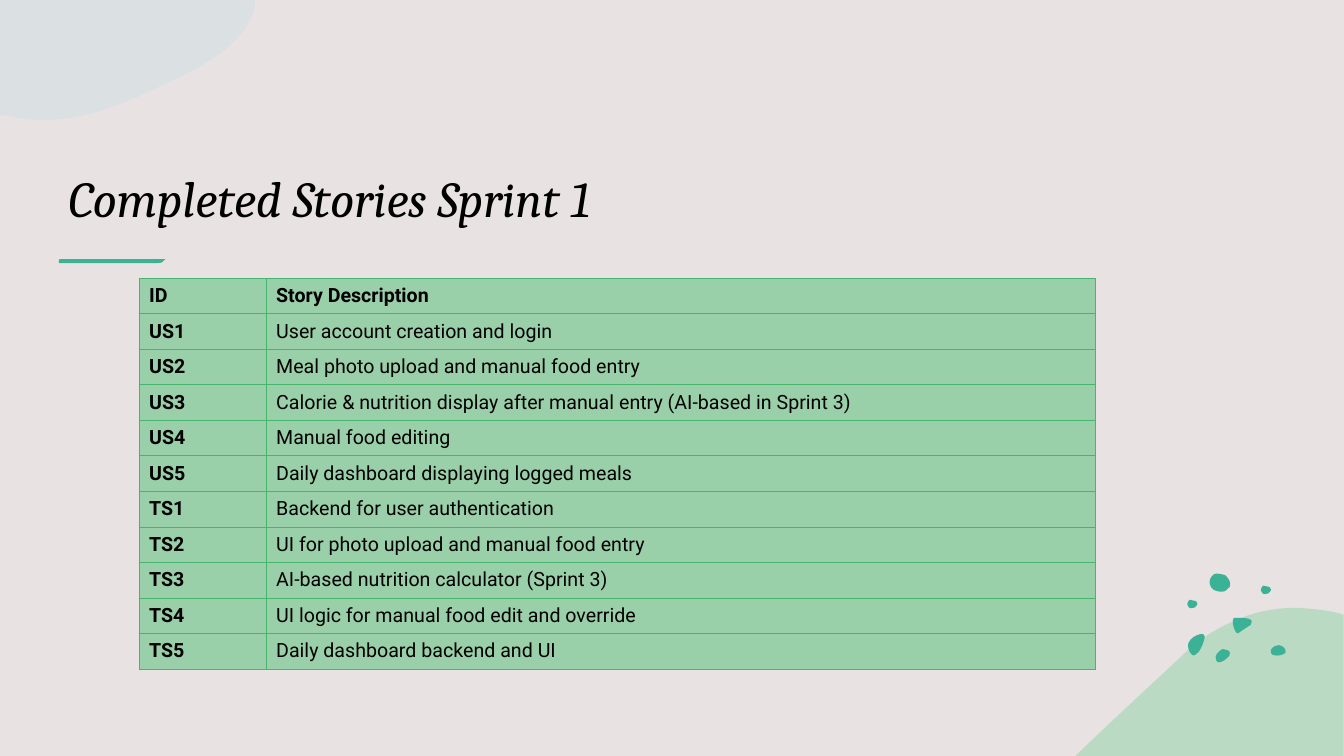
from dataclasses import dataclass

from lxml.etree import SubElement
from pptx import Presentation
from pptx.dml.color import RGBColor
from pptx.enum.shapes import MSO_SHAPE
from pptx.enum.text import MSO_ANCHOR
from pptx.oxml.ns import qn
from pptx.util import Inches, Pt


@dataclass(frozen=True)
class Theme:
    background: str = "E8E2E3"
    mist: str = "B7DEE6"
    hill: str = "90D3A7"
    accent: str = "3BB195"
    cell: str = "9AD0A9"
    border: str = "47B56D"
    text: str = "000000"
    title_font: str = "Cambria"
    body_font: str = "Roboto"
    title_size: int = 36
    body_size: int = 14
    border_width: float = 0.5


THEME = Theme()

MIST = [(0, 0), (2.53, 0), (2.53, 0.06), (2.45, 0.44, 2, 0.67, 1.58, 0.86),
        (1.23, 1.03, 0.86, 1.19, 0.41, 1.19), (0.31, 1.19, 0.22, 1.18, 0.13, 1.16), (0, 1.14)]
HILL = [(2.21, 0), (2.34, 0.01, 2.47, 0.02, 2.6, 0.05), (2.66, 0.07), (2.66, 1.47), (0, 1.47),
        (0.01, 1.46), (0.35, 1.13, 0.7, 0.81, 1.02, 0.51), (1.24, 0.29, 1.47, 0.16, 1.7, 0.08),
        (1.87, 0.02, 2.04, 0, 2.21, 0)]
STROKE = [(0.01, 0), (0.53, 0), (1.06, 0), (1.03, 0.01, 1.05, 0.04, 0.99, 0.04),
          (0.32, 0.04), (0.03, 0.04), (-0.01, 0.05, 0, 0.01, 0.01, 0)]
OVAL = [(0.07, 0), (0.09, 0, 0.1, 0, 0.12, 0.01), (0.14, 0.02, 0.15, 0.04, 0.14, 0.06),
        (0.12, 0.09, 0.06, 0.14, 0.02, 0.13), (0.01, 0.12, 0, 0.1, 0, 0.08),
        (0, 0.06, 0.02, 0.03, 0.04, 0.02), (0.05, 0.01, 0.06, 0, 0.07, 0)]
LEAF = [(0.12, 0), (0.14, 0, 0.16, 0, 0.16, 0.02), (0.16, 0.03, 0.16, 0.03, 0.16, 0.04),
        (0.15, 0.09, 0.13, 0.14, 0.1, 0.18), (0.08, 0.2, 0.05, 0.23, 0.03, 0.2),
        (0, 0.17, -0.01, 0.12, 0, 0.09), (0.01, 0.06, 0.03, 0.05, 0.05, 0.03),
        (0.06, 0.03, 0.09, 0, 0.12, 0)]
BEAN = [(0.08, 0), (0.1, 0, 0.13, 0.02, 0.14, 0.04), (0.15, 0.06, 0.15, 0.08, 0.12, 0.09),
        (0.09, 0.11, 0.01, 0.11, 0, 0.08), (-0.01, 0.06, 0, 0.04, 0.01, 0.03),
        (0.03, 0.01, 0.05, 0, 0.08, 0)]
STONE = [(0.01, 0.12), (0, 0.12, -0.01, 0.06, 0.02, 0.03), (0.04, 0.01, 0.04, 0, 0.07, 0),
         (0.1, 0, 0.14, 0.01, 0.16, 0.02), (0.18, 0.04, 0.22, 0.09, 0.2, 0.13),
         (0.17, 0.16, 0.16, 0.18, 0.12, 0.18), (0.09, 0.18, 0.04, 0.17, 0.03, 0.15),
         (0.01, 0.14, 0.01, 0.13, 0.01, 0.12)]
BEAD = [(0, 0.05), (0, 0.05, 0, 0.01, 0.02, 0), (0.04, 0, 0.05, 0, 0.07, 0.01),
        (0.08, 0.01, 0.1, 0.02, 0.1, 0.04), (0.1, 0.05, 0.09, 0.06, 0.08, 0.07),
        (0.08, 0.07, 0.08, 0.08, 0.06, 0.08), (0.05, 0.08, 0.03, 0.09, 0.02, 0.08),
        (0.01, 0.06, 0, 0.06, 0, 0.05)]
WEDGE = [(0.05, 0), (0.11, 0, 0.22, 0, 0.18, 0.06), (0.18, 0.07, 0.17, 0.08, 0.16, 0.08),
         (0.13, 0.1, 0.1, 0.12, 0.07, 0.14), (0.06, 0.15, 0.05, 0.16, 0.04, 0.15),
         (0.03, 0.14), (0.01, 0.1, 0, 0.07, 0, 0.03), (0, 0.02, 0, 0.01, 0.01, 0)]
PEBBLES = [(OVAL, 0.28, 0.75), (LEAF, 0.01, 0.6), (BEAN, 0.83, 0.71), (STONE, 0.22, 0),
           (BEAD, 0.73, 0.12), (BEAD, 0, 0.26), (WEDGE, 0.45, 0.44)]

STORIES = [
    ("ID", "Story Description"),
    ("US1", "User account creation and login"),
    ("US2", "Meal photo upload and manual food entry"),
    ("US3", "Calorie & nutrition display after manual entry (AI-based in Sprint 3)"),
    ("US4", "Manual food editing"),
    ("US5", "Daily dashboard displaying logged meals"),
    ("TS1", "Backend for user authentication"),
    ("TS2", "UI for photo upload and manual food entry"),
    ("TS3", "AI-based nutrition calculator (Sprint 3)"),
    ("TS4", "UI logic for manual food edit and override"),
    ("TS5", "Daily dashboard backend and UI"),
]


def rgb(color):
    return RGBColor.from_string(color)


def paint(sp, color):
    sp.shadow.inherit = False
    sp.fill.solid()
    sp.fill.fore_color.rgb = rgb(color)
    sp.line.fill.background()


def bend_segments(sp, outline):
    min_x = min(segment[-2] for segment in outline)
    min_y = min(segment[-1] for segment in outline)
    lines = list(sp._element.iter(qn("a:lnTo")))
    for line, segment in zip(lines, outline[1:]):
        if len(segment) == 6:
            line.tag = qn("a:cubicBezTo")
            line.clear()
            for x, y in zip(segment[::2], segment[1::2]):
                SubElement(line, qn("a:pt"), x=str(Inches(x - min_x)), y=str(Inches(y - min_y)))


def add_blob(s, outline, left, top, color, alpha=100):
    points = [(Inches(left + seg[-2]), Inches(top + seg[-1])) for seg in outline]
    builder = s.shapes.build_freeform(*points[0], scale=1.0)
    builder.add_line_segments(points[1:], close=True)
    sp = builder.convert_to_shape()
    bend_segments(sp, outline)
    paint(sp, color)
    if alpha < 100:
        clr = sp._element.spPr.find(qn("a:solidFill")).find(qn("a:srgbClr"))
        SubElement(clr, qn("a:alpha")).set("val", str(alpha * 1000))


def add_run(p, text, font, size, bold=False, italic=False):
    r = p.add_run()
    r.text = text
    r.font.name = font
    r.font.size = Pt(size)
    r.font.bold = bold
    r.font.italic = italic
    r.font.color.rgb = rgb(THEME.text)


def add_pebbles(s, left, top):
    for outline, dx, dy in PEBBLES:
        add_blob(s, outline, left + dx, top + dy, THEME.accent)


def add_title(s, text, left, top, width, height):
    tf = s.shapes.add_textbox(*map(Inches, (left, top, width, height))).text_frame
    tf.word_wrap = True
    tf.vertical_anchor = MSO_ANCHOR.BOTTOM
    p = tf.paragraphs[0]
    p.line_spacing = 0.9
    add_run(p, text, THEME.title_font, THEME.title_size, italic=True)
    add_blob(s, STROKE, left, top + height + 0.25, THEME.accent)


def style_cell(cell):
    tcPr = cell._tc.get_or_add_tcPr()
    for side in ("lnL", "lnR", "lnT", "lnB"):
        ln = SubElement(tcPr, qn(f"a:{side}"), w=str(Pt(THEME.border_width)))
        fill = SubElement(ln, qn("a:solidFill"))
        SubElement(fill, qn("a:srgbClr"), val=THEME.border)
    cell.fill.solid()
    cell.fill.fore_color.rgb = rgb(THEME.cell)
    cell.vertical_anchor = MSO_ANCHOR.MIDDLE


def add_story_table(s, left, top, width, height, id_width=1.26):
    table = s.shapes.add_table(
        len(STORIES), 2, *map(Inches, (left, top, width, height))).table
    table.first_row = False
    table.horz_banding = False
    table.columns[0].width = Inches(id_width)
    table.columns[1].width = Inches(width - id_width)
    for i, story in enumerate(STORIES):
        table.rows[i].height = Inches(height / len(STORIES))
        for j, text in enumerate(story):
            cell = table.cell(i, j)
            style_cell(cell)
            add_run(cell.text_frame.paragraphs[0], text, THEME.body_font,
                    THEME.body_size, bold=i == 0 or j == 0)


def build_stories_slide(prs):
    s = prs.slides.add_slide(prs.slide_layouts[6])
    s.background.fill.solid()
    s.background.fill.fore_color.rgb = rgb(THEME.background)
    backdrop = s.shapes.add_shape(
        MSO_SHAPE.RECTANGLE, 0, 0, prs.slide_width, prs.slide_height)
    paint(backdrop, THEME.background)
    add_blob(s, MIST, 0, 0, THEME.mist, alpha=25)
    add_title(s, "Completed Stories Sprint 1", 0.58, 0.87, 11.02, 1.45)
    add_blob(s, HILL, 10.67, 6.03, THEME.hill, alpha=50)
    add_pebbles(s, 11.78, 5.69)
    add_story_table(s, 1.38, 2.76, 9.49, 3.88)


def main():
    prs = Presentation()
    prs.slide_width = Inches(40 / 3)
    prs.slide_height = Inches(7.5)
    build_stories_slide(prs)
    prs.save("out.pptx")


if __name__ == "__main__":
    main()
